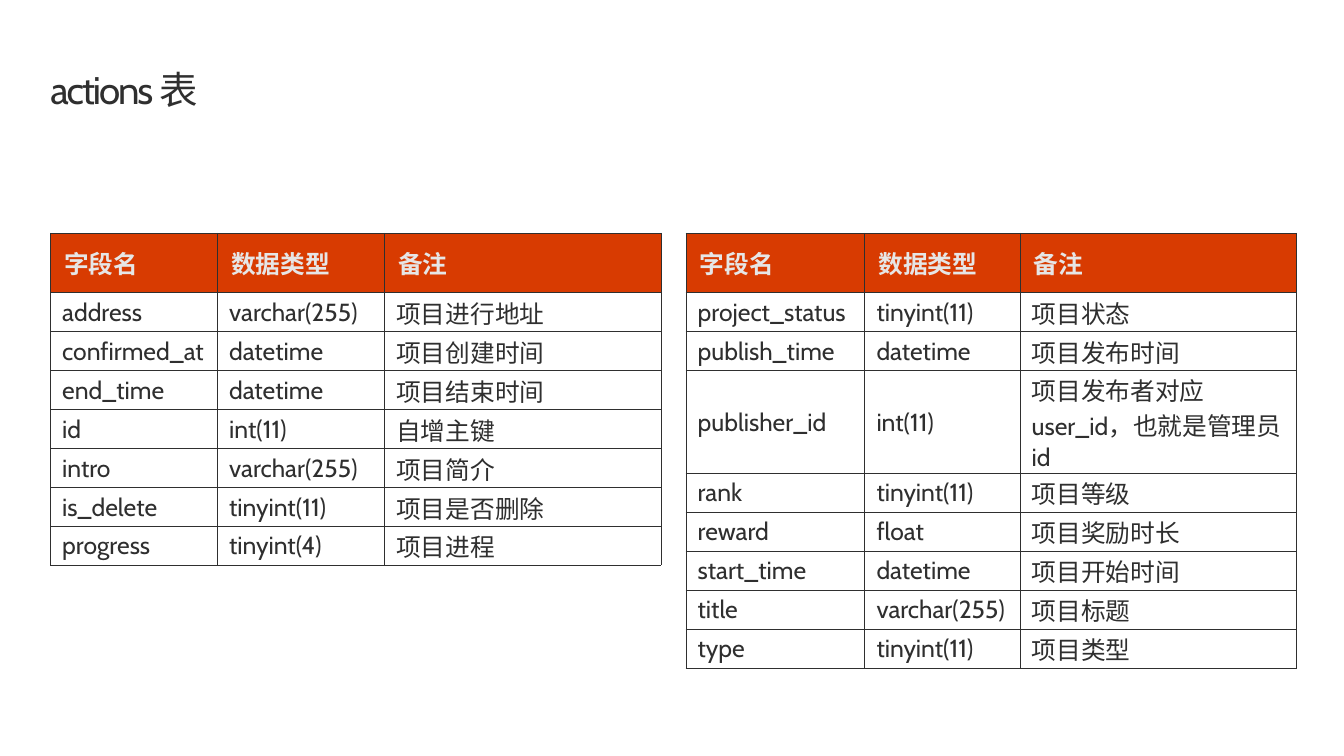
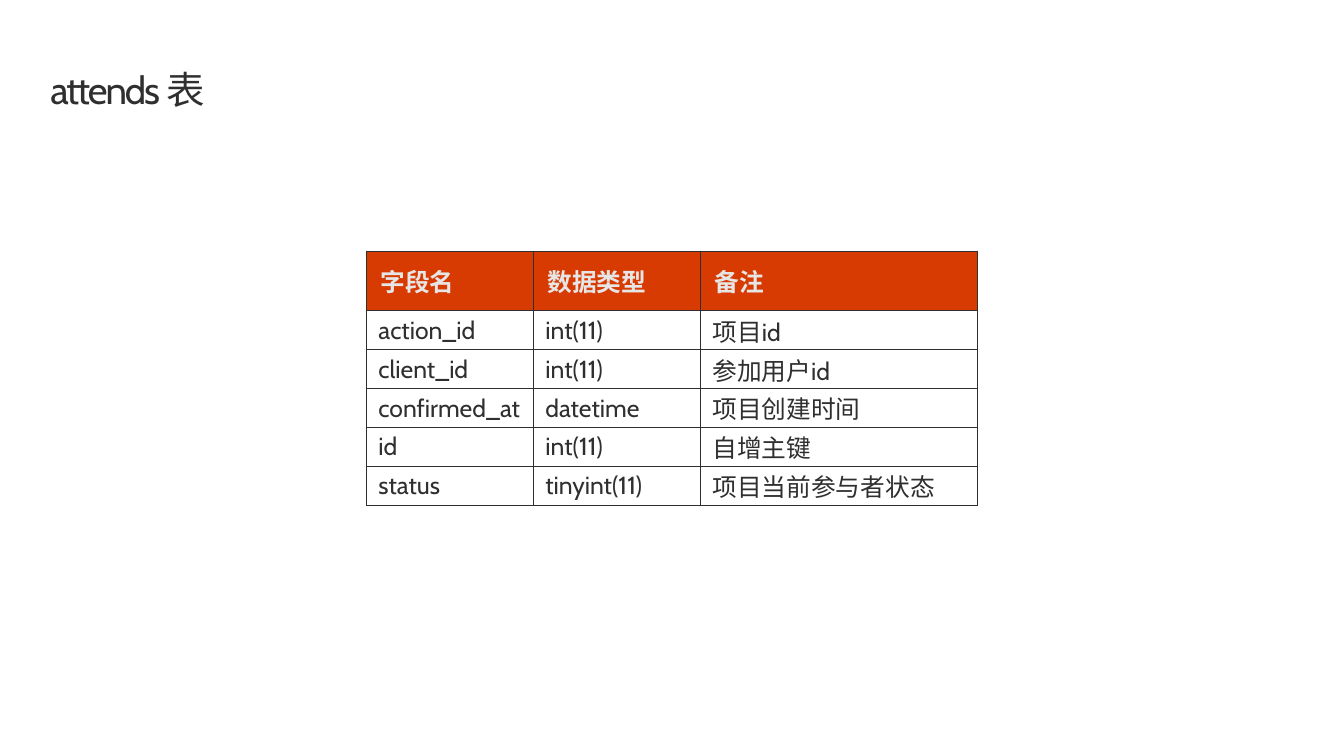
import pptx
import pptx.util
import pptx.dml.color
import pptx.enum.text
import pptx.oxml
import pptx.oxml.ns

Inches = pptx.util.Inches
Pt = pptx.util.Pt
MIDDLE = pptx.enum.text.MSO_ANCHOR.MIDDLE

COLORS = {"ink": "2F2F2F", "accent": "D83B01", "pale": "E6E6E6"}
FONT = "Cabin"
MARGIN, CONTENT_WIDTH, GUTTER, COLUMNS = 0.51, 12.61, 0.25, 12
HEADER = ("字段名", "数据类型", "备注")
EDGES = ("a:lnL", "a:lnR", "a:lnT", "a:lnB")

TITLE_FONT = {"name": FONT, "size": Pt(28), "bold": False}
HEADER_FONT = {"name": FONT, "size": Pt(18), "bold": True}
BODY_FONT = {"name": FONT, "size": Pt(18), "bold": False}
TITLE_FRAME = {
    "margin_left": 0, "margin_top": 0, "margin_right": 0, "margin_bottom": 0,
    "word_wrap": True,
    "vertical_anchor": pptx.enum.text.MSO_ANCHOR.TOP,
    "auto_size": pptx.enum.text.MSO_AUTO_SIZE.SHAPE_TO_FIT_TEXT,
}
HEADER_CELL = {
    "margin_left": Inches(0.14), "margin_top": Inches(0.06),
    "margin_right": Inches(0.14), "margin_bottom": Inches(0.06),
    "vertical_anchor": MIDDLE,
}
BODY_CELL = {
    "margin_left": Inches(0.12), "margin_top": Inches(0.01),
    "margin_right": Inches(0.01), "margin_bottom": 0,
    "vertical_anchor": MIDDLE,
}


def apply(target, values):
    for name, value in values.items():
        setattr(target, name, value)


def rgb(color):
    return pptx.dml.color.RGBColor.from_string(COLORS[color])


def span_width(columns):
    """Width in inches of a number of grid columns with the gutters between."""
    column = (CONTENT_WIDTH - GUTTER * (COLUMNS - 1)) / COLUMNS
    return columns * column + (columns - 1) * GUTTER


class Deck:
    TABLE_WIDTH = span_width(6)
    LEFT = MARGIN
    RIGHT = MARGIN + CONTENT_WIDTH - TABLE_WIDTH
    HEADER_HEIGHT, ROW_HEIGHT, TALL_HEIGHT = Inches(0.6), Pt(28.4), Inches(1.04)

    def __init__(self, width, height):
        self.file = pptx.Presentation()
        self.file.slide_width = Inches(width)
        self.file.slide_height = Inches(height)
        self.center = (width - self.TABLE_WIDTH) / 2
        self.page = None

    def add_page(self, title):
        self.page = self.file.slides.add_slide(self.file.slide_layouts[5])
        box = self.page.shapes.title
        apply(box, {"left": Inches(MARGIN), "top": Inches(0.69),
                    "width": Inches(CONTENT_WIDTH), "height": Inches(0.45)})
        apply(box.text_frame, TITLE_FRAME)
        para = box.text_frame.paragraphs[0]
        para.alignment = pptx.enum.text.PP_ALIGN.LEFT
        para.line_spacing = Pt(32)
        span = self.add_text(para, title, TITLE_FONT, "ink")
        span.font._element.set("spc", "-150")

    def add_text(self, para, text, font, color):
        span = para.add_run()
        span.text = text
        apply(span.font, font)
        span.font.color.rgb = rgb(color)
        return span

    def add_borders(self, cell):
        properties = cell._tc.get_or_add_tcPr()
        for edge in EDGES:
            properties.append(pptx.oxml.parse_xml(
                f'<{edge} {pptx.oxml.ns.nsdecls("a")} w="{Pt(0.5)}"><a:solidFill>'
                f'<a:srgbClr val="{COLORS["ink"]}"/></a:solidFill></{edge}>'))

    def add_cell(self, cell, text, is_header):
        apply(cell, HEADER_CELL if is_header else BODY_CELL)
        self.add_borders(cell)
        if is_header:
            cell.fill.solid()
            cell.fill.fore_color.rgb = rgb("accent")
        else:
            cell.fill.background()
        self.add_text(cell.text_frame.paragraphs[0], text,
                      HEADER_FONT if is_header else BODY_FONT,
                      "pale" if is_header else "ink")

    def add_field_table(self, left, top, fields, name_width=1.69, type_width=1.69,
                        tall_fields=()):
        """Add a table of fields; the remarks column takes the remaining width.

        Fields named in tall_fields get room for a remark of three lines.
        """
        rows = [HEADER, *fields]
        heights = [self.HEADER_HEIGHT] + [
            self.TALL_HEIGHT if field[0] in tall_fields else self.ROW_HEIGHT
            for field in fields]
        table = self.page.shapes.add_table(
            len(rows), len(HEADER), Inches(left), Inches(top),
            Inches(self.TABLE_WIDTH), sum(heights)).table
        table.horz_banding = False
        widths = (name_width, type_width, self.TABLE_WIDTH - name_width - type_width)
        for column, width in zip(table.columns, widths):
            column.width = Inches(width)
        for row, texts, height in zip(table.rows, rows, heights):
            row.height = height
            for cell, text in zip(row.cells, texts):
                self.add_cell(cell, text, texts is HEADER)


def main():
    deck = Deck(13.6, 7.65)

    deck.add_page("actions 表")
    deck.add_field_table(deck.LEFT, 2.36, [
        ("address", "varchar(255)", "项目进行地址"),
        ("confirmed_at", "datetime", "项目创建时间"),
        ("end_time", "datetime", "项目结束时间"),
        ("id", "int(11)", "自增主键"),
        ("intro", "varchar(255)", "项目简介"),
        ("is_delete", "tinyint(11)", "项目是否删除"),
        ("progress", "tinyint(4)", "项目进程"),
    ])
    deck.add_field_table(deck.RIGHT, 2.36, [
        ("project_status", "tinyint(11)", "项目状态"),
        ("publish_time", "datetime", "项目发布时间"),
        ("publisher_id", "int(11)", "项目发布者对应user_id，也就是管理员id"),
        ("rank", "tinyint(11)", "项目等级"),
        ("reward", "float", "项目奖励时长"),
        ("start_time", "datetime", "项目开始时间"),
        ("title", "varchar(255)", "项目标题"),
        ("type", "tinyint(11)", "项目类型"),
    ], name_width=1.81, type_width=1.57, tall_fields=("publisher_id",))

    deck.add_page("attends 表")
    deck.add_field_table(deck.center, 2.54, [
        ("action_id", "int(11)", "项目id"),
        ("client_id", "int(11)", "参加用户id"),
        ("confirmed_at", "datetime", "项目创建时间"),
        ("id", "int(11)", "自增主键"),
        ("status", "tinyint(11)", "项目当前参与者状态"),
    ])

    deck.file.save("out.pptx")


if __name__ == "__main__":
    main()
